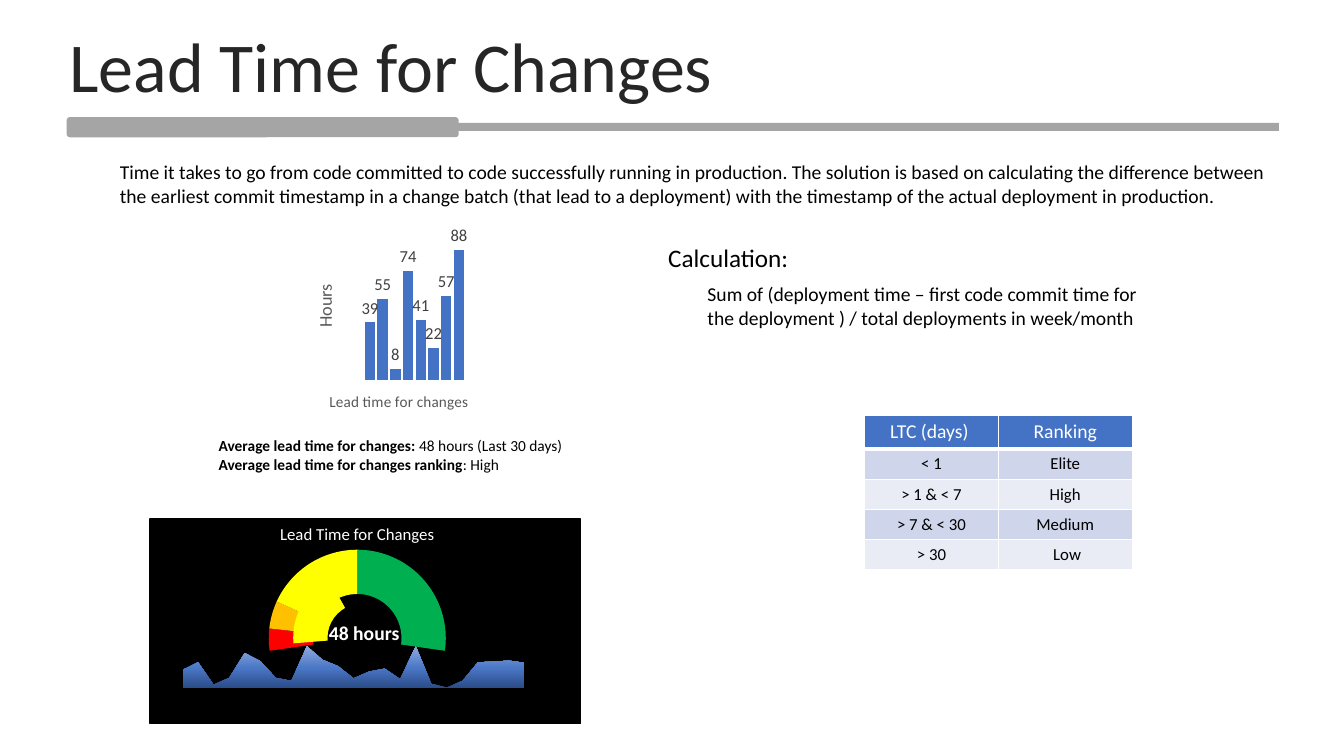
import copy

import pptx
import pptx.chart.data
import pptx.dml.color
import pptx.enum.chart
import pptx.enum.shapes
import pptx.enum.text
import pptx.oxml
import pptx.oxml.ns
import pptx.util

Cm, Pt = pptx.util.Cm, pptx.util.Pt
RGB = pptx.dml.color.RGBColor
qn, nsdecls = pptx.oxml.ns.qn, pptx.oxml.ns.nsdecls
XL = pptx.enum.chart.XL_CHART_TYPE
SHAPE = pptx.enum.shapes.MSO_SHAPE
ANCHOR = pptx.enum.text.MSO_ANCHOR
CENTER = pptx.enum.text.PP_ALIGN.CENTER

BLACK = RGB(0x00, 0x00, 0x00)
WHITE = RGB(0xFF, 0xFF, 0xFF)
INK = RGB(0x26, 0x26, 0x26)
LABEL = RGB(0x40, 0x40, 0x40)
AXIS = RGB(0x59, 0x59, 0x59)
GRAY = RGB(0xA5, 0xA5, 0xA5)
BLUE = RGB(0x44, 0x72, 0xC4)
BAND_DARK = RGB(0xCF, 0xD5, 0xEA)
BAND_LIGHT = RGB(0xE9, 0xEB, 0xF5)
GREEN = RGB(0x00, 0xB0, 0x50)
RED = RGB(0xFF, 0x00, 0x00)
ORANGE = RGB(0xFF, 0xC0, 0x00)
YELLOW = RGB(0xFF, 0xFF, 0x00)
AREA_STOPS = [(0, RGB(0x2A, 0x4B, 0x86)), (0.48, RGB(0x4A, 0x76, 0xC6)), (1, RGB(0x8F, 0xAA, 0xDC))]


def set_format(obj, **values):
    for name, value in values.items():
        setattr(obj, name, value)


def set_layout(parent, index, **fractions):
    """Place a plot area or chart title at fractions of the chart."""
    layout = parent.find(qn("c:layout"))
    if layout is not None:
        parent.remove(layout)
    target = '<c:layoutTarget val="inner"/>' if "w" in fractions else ""
    modes = '<c:xMode val="edge"/><c:yMode val="edge"/>'
    values = "".join(f'<c:{k} val="{v}"/>' for k, v in fractions.items())
    parent.insert(index, pptx.oxml.parse_xml(
        f'<c:layout {nsdecls("c")}><c:manualLayout>{target}{modes}{values}</c:manualLayout></c:layout>'))


def clear_background():
    return pptx.oxml.parse_xml(
        f'<c:spPr {nsdecls("c", "a")}><a:noFill/><a:ln><a:noFill/></a:ln></c:spPr>')


class Deck:
    font = "Calibri"

    def __init__(self, prs):
        self.slide = prs.slides.add_slide(prs.slide_layouts[6])

    def style(self, font, size, color, bold=False):
        set_format(font, name=self.font, size=Pt(size), bold=bold)
        font.color.rgb = color

    def shape(self, kind, box, color):
        sp = self.slide.shapes.add_shape(kind, *map(Cm, box))
        sp.shadow.inherit = False
        sp.fill.solid()
        sp.fill.fore_color.rgb = color
        sp.line.fill.background()
        return sp

    def text(self, box, paragraphs, size, color=BLACK, **fmt):
        """Each paragraph is a list of (text, bold) runs."""
        tf = self.slide.shapes.add_textbox(*map(Cm, box)).text_frame
        tf.word_wrap = True
        for i, runs in enumerate(paragraphs):
            p = tf.add_paragraph() if i else tf.paragraphs[0]
            set_format(p, **fmt)
            for words, bold in runs:
                r = p.add_run()
                r.text = words
                self.style(r.font, size, color, bold)
        return tf

    def chart(self, kind, box, values, plot):
        data = pptx.chart.data.CategoryChartData()
        data.categories = [str(i + 1) for i in range(len(values))]
        data.add_series("Series 1", values)
        chart = self.slide.shapes.add_chart(kind, *map(Cm, box), data).chart
        set_format(chart, has_title=False, has_legend=False)
        self.style(chart.font, 10, BLACK)
        chart.plots[0].vary_by_categories = False
        space = chart._chartSpace
        space.find(qn("c:chart")).addnext(clear_background())
        area = next(space.iter(qn("c:plotArea")))
        set_layout(area, 0, **dict(zip("xywh", plot)))
        area.append(clear_background())
        return chart

    def hide_axes(self, chart, maximum):
        chart.category_axis.visible = False
        set_format(chart.value_axis, visible=False, has_major_gridlines=False,
                   minimum_scale=0, maximum_scale=maximum)

    def axis_title(self, axis, words, size, x, y, turn=0):
        tf = axis.axis_title.text_frame
        p = tf.paragraphs[0]
        r = p.add_run()
        r.text = words
        self.style(r.font, size, AXIS)
        body = tf._txBody.find(qn("a:bodyPr"))
        body.set("rot", str(turn * 60000))
        body.set("vert", "horz")
        set_layout(axis.axis_title._element, 1, x=x, y=y)

    def doughnut(self, box, values, colors, plot):
        chart = self.chart(XL.DOUGHNUT, box, values, plot)
        next(chart._chartSpace.iter(qn("c:holeSize"))).set("val", "75")
        for i, color in enumerate(colors):
            fmt = chart.plots[0].series[0].points[i].format
            fmt.line.fill.background()
            if color is None:
                fmt.fill.background()
            else:
                fmt.fill.solid()
                fmt.fill.fore_color.rgb = color

    def border(self, cell, widths):
        for side, width in zip("LRTB", widths):
            cell._tc.get_or_add_tcPr().append(pptx.oxml.parse_xml(
                f'<a:ln{side} {nsdecls("a")} w="{Pt(width)}"><a:solidFill>'
                f'<a:srgbClr val="{WHITE}"/></a:solidFill></a:ln{side}>'))

    def table(self, box, rows, head_height, row_height):
        tbl = self.slide.shapes.add_table(len(rows), len(rows[0]), *map(Cm, box)).table
        for i, row in enumerate(rows):
            tbl.rows[i].height = Cm(row_height if i else head_height)
            fill = (BAND_DARK if i % 2 else BAND_LIGHT) if i else BLUE
            for j, words in enumerate(row):
                cell = tbl.cell(i, j)
                self.border(cell, (1, 1, 3 if i == 1 else 1, 1 if i else 3))
                cell.fill.solid()
                cell.fill.fore_color.rgb = fill
                p = cell.text_frame.paragraphs[0]
                p.alignment = CENTER
                r = p.add_run()
                r.text = words
                self.style(r.font, 12 if i else 14, BLACK if i else WHITE)


def add_heading(deck):
    deck.shape(SHAPE.RECTANGLE, (7.34, 3.1, 24.89, 0.2), GRAY)
    deck.shape(SHAPE.ROUNDED_RECTANGLE, (1.68, 2.95, 9.88, 0.51), GRAY)
    tf = deck.text((1.5, 0.81, 30.91, 2.01), [[("Lead Time for Changes", False)]], 50, INK,
                   line_spacing=0.8, space_before=Pt(10))
    tf.vertical_anchor = ANCHOR.MIDDLE


def add_gauge(deck):
    panel = deck.shape(SHAPE.RECTANGLE, (3.78, 13.08, 10.85, 5.16), BLACK)
    panel.line.color.rgb = BLACK
    panel.line.width = Pt(1)

    trend = deck.chart(XL.AREA_STACKED, (4.6, 15.95, 8.89, 1.4),
                       [44, 62, 9, 25, 84, 65, 25, 18, 100, 68, 53, 24,
                        40, 47, 22, 100, 11, 2, 18, 62, 64, 66, 61],
                       (0, 0.13, 0.97, 0.87))
    deck.hide_axes(trend, 115)
    next(trend._chartSpace.iter(qn("c:crossBetween"))).set("val", "midCat")
    fill = trend.plots[0].series[0].format.fill
    fill.gradient()
    fill.gradient_angle = 90
    last = list(trend._chartSpace.iter(qn("a:gs")))[-1]
    last.addnext(copy.deepcopy(last))
    for stop, (position, color) in zip(fill.gradient_stops, AREA_STOPS):
        stop.position = position
        stop.color.rgb = color

    deck.doughnut((4.98, 13.34, 8.05, 5.13), [27, 45, 4, 5, 18],
                  [GREEN, None, RED, ORANGE, YELLOW], (0.21, 0.1, 0.58, 0.87))
    deck.doughnut((5.77, 13.92, 6.63, 4.27), [73, 18, 8],
                  [None, YELLOW, None], (0.23, 0.1, 0.55, 0.81))
    deck.text((8, 15.52, 2.36, 0.86), [[("48 hours", True)]], 14, WHITE, alignment=CENTER)
    deck.text((5.97, 13.08, 6.07, 0.76), [[("Lead Time for Changes", False)]], 12, WHITE,
              alignment=CENTER)


def add_explanation(deck):
    deck.text((2.77, 3.91, 29.64, 1.45), [[(
        "Time it takes to go from code committed to code successfully running in production. "
        "The solution is based on calculating the difference between the earliest commit "
        "timestamp in a change batch (that lead to a deployment) with the timestamp of the "
        "actual deployment in production.", False)]], 14)
    deck.text((16.59, 5.97, 8.43, 1.02), [[("Calculation:", False)]], 18)
    deck.text((17.58, 6.99, 11.35, 1.45), [[(
        "Sum of (deployment time – first code commit time for the deployment ) / "
        "total deployments in week/month", False)]], 14)
    deck.table((21.79, 10.46, 6.74, 3.89),
               [("LTC (days) ", "Ranking"), ("< 1", "Elite"), ("> 1 & < 7", "High"),
                ("> 7 & < 30", "Medium"), ("> 30", " Low")], 0.85, 0.76)


def add_hours(deck):
    deck.text((5.26, 10.87, 10.24, 1.19),
              [[("Average lead time for changes: ", True), ("48 hours (Last 30 days)", False)],
               [("Average lead time for changes ranking", True), (": High", False)]], 11)
    chart = deck.chart(XL.COLUMN_CLUSTERED, (7.16, 5.69, 4.72, 5.13),
                       [39, 55, 8, 74, 41, 22, 57, 88], (0.43, 0.03, 0.55, 0.73))
    deck.hide_axes(chart, 100)
    deck.axis_title(chart.value_axis, "Hours", 13, 0.14, 0.27, turn=-90)
    deck.axis_title(chart.category_axis, "Lead time for changes", 11, 0.23, 0.8)
    plot = chart.plots[0]
    set_format(plot, gap_width=21, overlap=-6, has_data_labels=True)
    fill = plot.series[0].format.fill
    fill.solid()
    fill.fore_color.rgb = BLUE
    set_format(plot.data_labels, show_value=True,
               position=pptx.enum.chart.XL_LABEL_POSITION.OUTSIDE_END)
    deck.style(plot.data_labels.font, 12, LABEL)


def main():
    prs = pptx.Presentation()
    set_format(prs, slide_width=Cm(33.87), slide_height=Cm(19.05))
    deck = Deck(prs)
    for add_part in (add_heading, add_gauge, add_explanation, add_hours):
        add_part(deck)
    prs.save("out.pptx")


if __name__ == "__main__":
    main()
